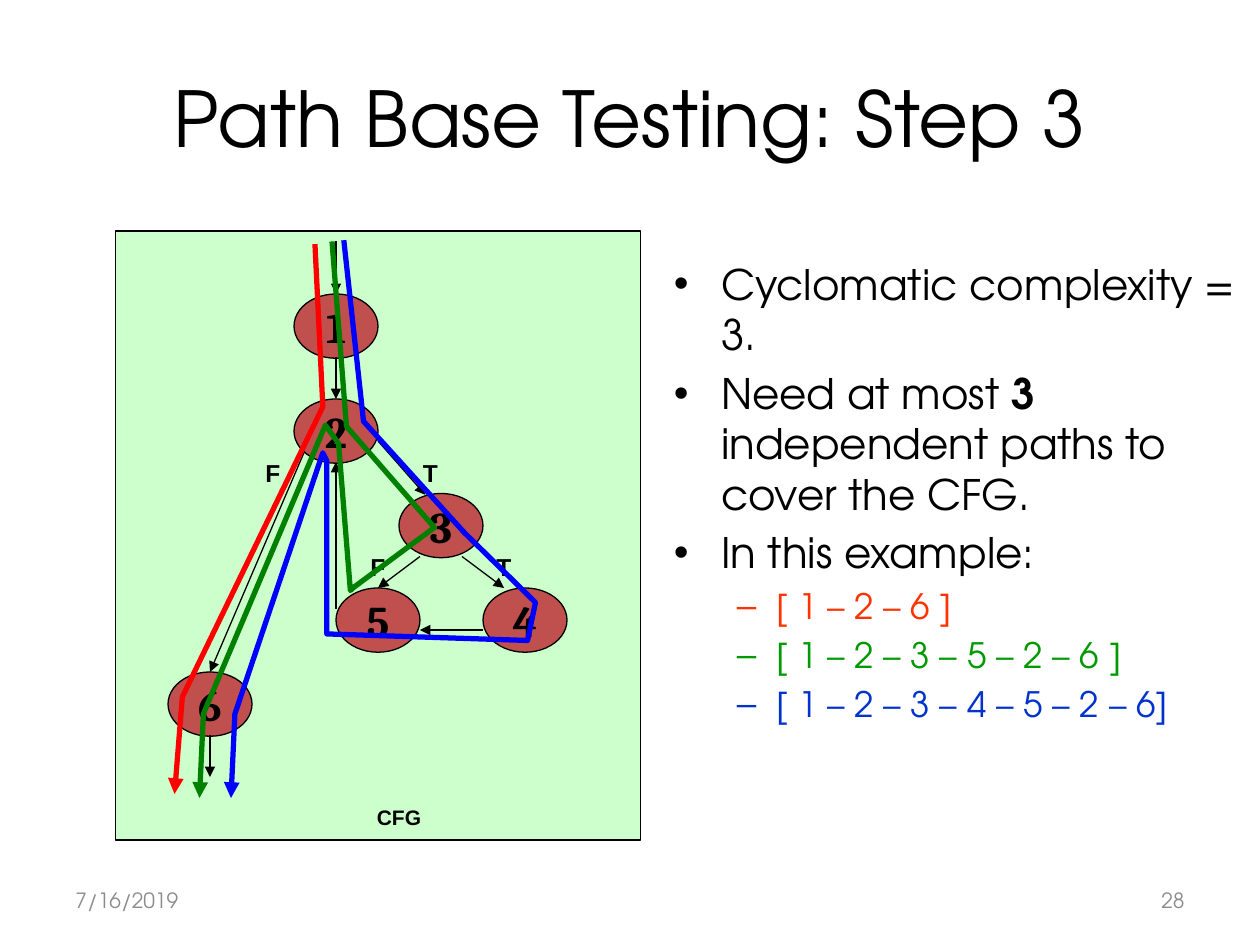
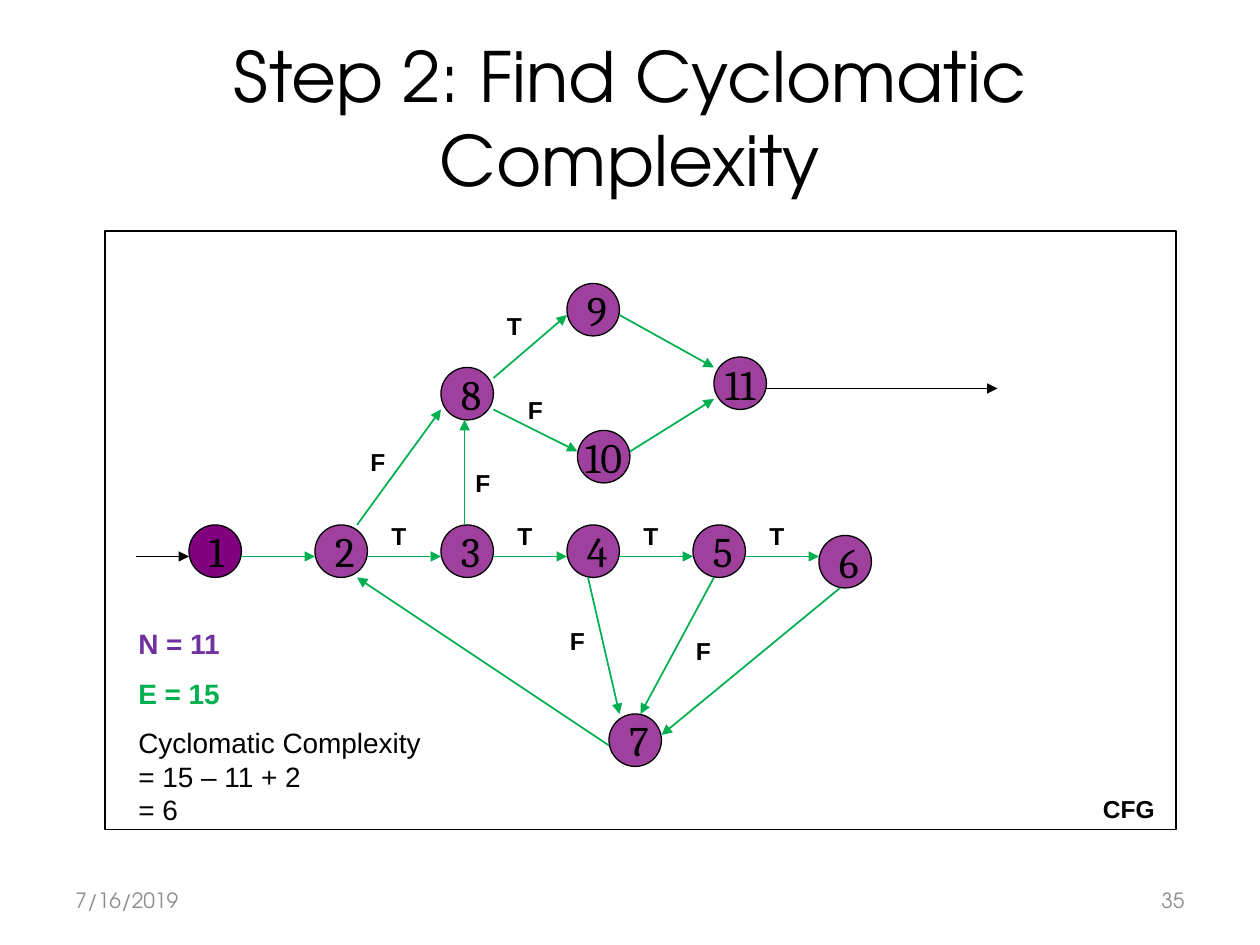
from lxml import etree
from pptx import Presentation
from pptx.dml.color import RGBColor
from pptx.enum.shapes import MSO_CONNECTOR, MSO_SHAPE
from pptx.enum.text import MSO_ANCHOR, PP_ALIGN
from pptx.oxml.ns import qn
from pptx.util import Pt

LEFT, MID, RIGHT = PP_ALIGN.LEFT, PP_ALIGN.CENTER, PP_ALIGN.RIGHT
TOP, HALF = MSO_ANCHOR.TOP, MSO_ANCHOR.MIDDLE
RECT, OVAL, LINE = MSO_SHAPE.RECTANGLE, MSO_SHAPE.OVAL, MSO_CONNECTOR.STRAIGHT
PX = 9525  # 96 px to the inch
HEAD, SANS, SERIF = "TeX Gyre Adventor", "Arial", "Cambria"
HUES = {name: RGBColor.from_string(code) for name, code in {
    "black": "000000", "gray": "8C8C8C", "mint": "CCFFCC", "brick": "C0504D",
    "plum": "800080", "edge": "00B050", "violet": "7030A0",
    "red": "FF0000", "green": "008000", "blue": "0000FF",
    "red text": "FF3300", "green text": "009900", "blue text": "0033CC"}.items()}


def write(frame, lines, face, size, align=LEFT, anchor=TOP, wrap=True, gap=0):
    """Fill a text frame; each line is (text, colour, bold)."""
    frame.word_wrap, frame.vertical_anchor = wrap, anchor
    for i, (words, hue, bold) in enumerate(lines):
        para = frame.add_paragraph() if i else frame.paragraphs[0]
        para.text, para.alignment = words, align
        if i:
            para.space_before = Pt(gap)
        font = para.font
        font.name, font.size, font.bold = face, Pt(size), bold
        font.color.rgb = HUES[hue]


def stroke(shape, hue, width, arrow=False):
    """Set the outline, without a shadow, and with an arrowhead if asked."""
    shape.line.color.rgb, shape.line.width = HUES[hue], Pt(width)
    if arrow:
        etree.SubElement(shape.line._get_or_add_ln(), qn("a:tailEnd"), type="triangle")
    props = shape._element.spPr
    if props.find(qn("a:effectLst")) is None:
        etree.SubElement(props, qn("a:effectLst"))


# Both flow graphs: nodes by corner, edges by end points, labels by corner
row = 424
graphs = [
    dict(title="Path Base Testing: Step 3", head=44, page="28",
         frame=(88, 176, 400, 464), fill="mint",
         size=(64, 49), hue="brick", clear=(), num=25, bold=True,
         nodes={"1": (224, 224), "2": (224, 304), "3": (304, 376),
                "4": (368, 448), "5": (256, 448), "6": (128, 512)},
         width=0.75,
         edges={"black": [(256, 184, 256, 224), (256, 272, 256, 304),
                          (288, 336, 324, 377), (320, 424, 288, 448),
                          (352, 424, 384, 448), (232, 344, 160, 512),
                          (160, 560, 160, 592), (368, 480, 320, 480),
                          (256, 464, 256, 352)]},
         tags={"T": [(304, 344), (360, 416)], "F": [(184, 344), (264, 416)]},
         name=(272, 608, 64, 29), small=12),
    dict(title="Step 2: Find Cyclomatic Complexity", head=39.6, page="35",
         frame=(80, 176, 816, 456), fill=None,
         size=(40, 40), hue="plum", clear="2 3 4 5 6 7 8 9 10 11".split(),
         num=24, bold=False,
         nodes={**{str(n): (48 + 96 * n, 400) for n in range(1, 6)},
                "6": (624, 408), "7": (464, 544), "8": (336, 280),
                "9": (432, 216), "10": (440, 328), "11": (544, 272)},
         width=1,
         edges={"edge": [(88 + 96 * n, row, 144 + 96 * n, row) for n in range(1, 6)]
                + [(640, 448, 504, 560), (544, 440, 488, 544),
                   (448, 440, 472, 544), (464, 568, 272, 440),
                   (272, 400, 336, 312), (376, 288, 432, 240),
                   (376, 312, 440, 344), (472, 240, 544, 280),
                   (480, 344, 544, 304), (354, 400, 354, 320)],
                "black": [(584, 296, 760, 296), (104, row, 144, row)]},
         tags={"T": [(280 + 96 * n, 392) for n in range(4)] + [(368, 232)],
               "F": [(384, 296), (264, 336), (416, 472), (512, 480), (344, 352)]},
         name=(824, 600, 72, 32), small=14),
]

deck = Presentation()
deck.slide_width, deck.slide_height = 960 * PX, 720 * PX
pages = []

for graph in graphs:
    page = deck.slides.add_slide(deck.slide_layouts[6])
    pages.append(page)
    shapes = page.shapes

    # Graph frame
    box = shapes.add_shape(RECT, *[v * PX for v in graph["frame"]])
    stroke(box, "black", 1)
    if graph["fill"]:
        box.fill.solid()
        box.fill.fore_color.rgb = HUES[graph["fill"]]
    else:
        box.fill.background()

    # Nodes
    for num, spot in graph["nodes"].items():
        node = shapes.add_shape(OVAL, *[v * PX for v in spot + graph["size"]])
        node.fill.solid()
        node.fill.fore_color.rgb = HUES[graph["hue"]]
        if num in graph["clear"]:
            tint = node._element.spPr.find(".//" + qn("a:srgbClr"))
            etree.SubElement(tint, qn("a:alpha"), val="75000")
        stroke(node, "black", 0.75)
        align = MID if graph["bold"] or len(num) > 1 else LEFT
        write(node.text_frame, [(num, "black", graph["bold"])], SERIF, graph["num"],
              align, HALF, wrap=False)

    # Edges
    for hue, edges in graph["edges"].items():
        for ends in edges:
            edge = shapes.add_connector(LINE, *[v * PX for v in ends])
            stroke(edge, hue, graph["width"], arrow=True)

    # Branch labels, graph name, title and footer
    texts = [(spot + (48, 32), tag, "black", True, SANS, 14, MID, TOP)
             for tag, spots in graph["tags"].items() for spot in spots]
    texts += [
        (graph["name"], "CFG", "black", True, SANS, graph["small"], MID, TOP),
        ((48, 29, 864, 120), graph["title"], "black", False, HEAD, graph["head"], MID, HALF),
        ((48, 667, 224, 38), "7/16/2019", "gray", False, HEAD, 12, LEFT, HALF),
        ((688, 667, 224, 38), graph["page"], "gray", False, HEAD, 12, RIGHT, HALF)]
    for area, words, hue, bold, face, size, align, anchor in texts:
        box = shapes.add_textbox(*[v * PX for v in area])
        write(box.text_frame, [(words, hue, bold)], face, size, align, anchor)

# Step 3: bullets, each with its level, colour and runs
points = [
    (0, "black", ["Cyclomatic complexity = 3."]),
    (0, "black", ["Need at most ", "3 ", "independent paths to cover the CFG."]),
    (0, "black", ["In this example:"]),
    (1, "red text", ["[ 1 – 2 – 6 ]"]),
    (1, "green text", ["[ 1 – 2 – 3 – 5 – 2 – 6 ]"]),
    (1, "blue text", ["[ 1 – 2 – 3 – 4 – 5 – 2 – 6]"]),
]
levels = [("•", 36, 36, 24), ("–", 78, 30, 20)]
body = pages[0].shapes.add_textbox(*[v * PX for v in (504, 192, 456, 368)]).text_frame
body.word_wrap = True
for i, (level, hue, runs) in enumerate(points):
    mark, left, hang, size = levels[level]
    para = body.add_paragraph() if i else body.paragraphs[0]
    para.level = level
    props = para._p.get_or_add_pPr()
    props.set("marL", str(left * PX))
    props.set("indent", str(-hang * PX))
    etree.SubElement(props, qn("a:buFont"), typeface=SANS)
    etree.SubElement(props, qn("a:buChar"), char=mark)
    if i:
        para.space_before = Pt(size * 0.2)
    para.font.name, para.font.size = HEAD, Pt(size)
    para.font.color.rgb = HUES[hue]
    for words in runs:
        run = para.add_run()
        run.text = words
        if words == "3 ":
            run.font.bold = True

# Step 3: the three independent paths
routes = {
    "red": [(240, 186), (246, 310), (139, 531), (133, 605)],
    "green": [(253, 184), (264, 325), (331, 402), (269, 448), (267, 450),
              (258, 338), (248, 324), (155, 544), (152, 608)],
    "blue": [(262, 183), (277, 321), (354, 406), (408, 459), (402, 488),
             (249, 483), (249, 351), (246, 345), (179, 544), (176, 608)],
}
for hue, (start, *rest) in routes.items():
    pen = pages[0].shapes.build_freeform(*start, scale=PX)
    pen.add_line_segments(rest, close=False)
    route = pen.convert_to_shape()
    route.fill.background()
    stroke(route, hue, 3, arrow=True)

# Step 2: the sum
box = pages[1].shapes.add_textbox(*[v * PX for v in (96, 473, 240, 165)])
write(box.text_frame, [
    ("N = 11", "violet", True), ("E = 15", "edge", True),
    ("Cyclomatic Complexity\n= 15 – 11 + 2\n= 6", "black", False)], SANS, 16, gap=9)

deck.save("out.pptx")
